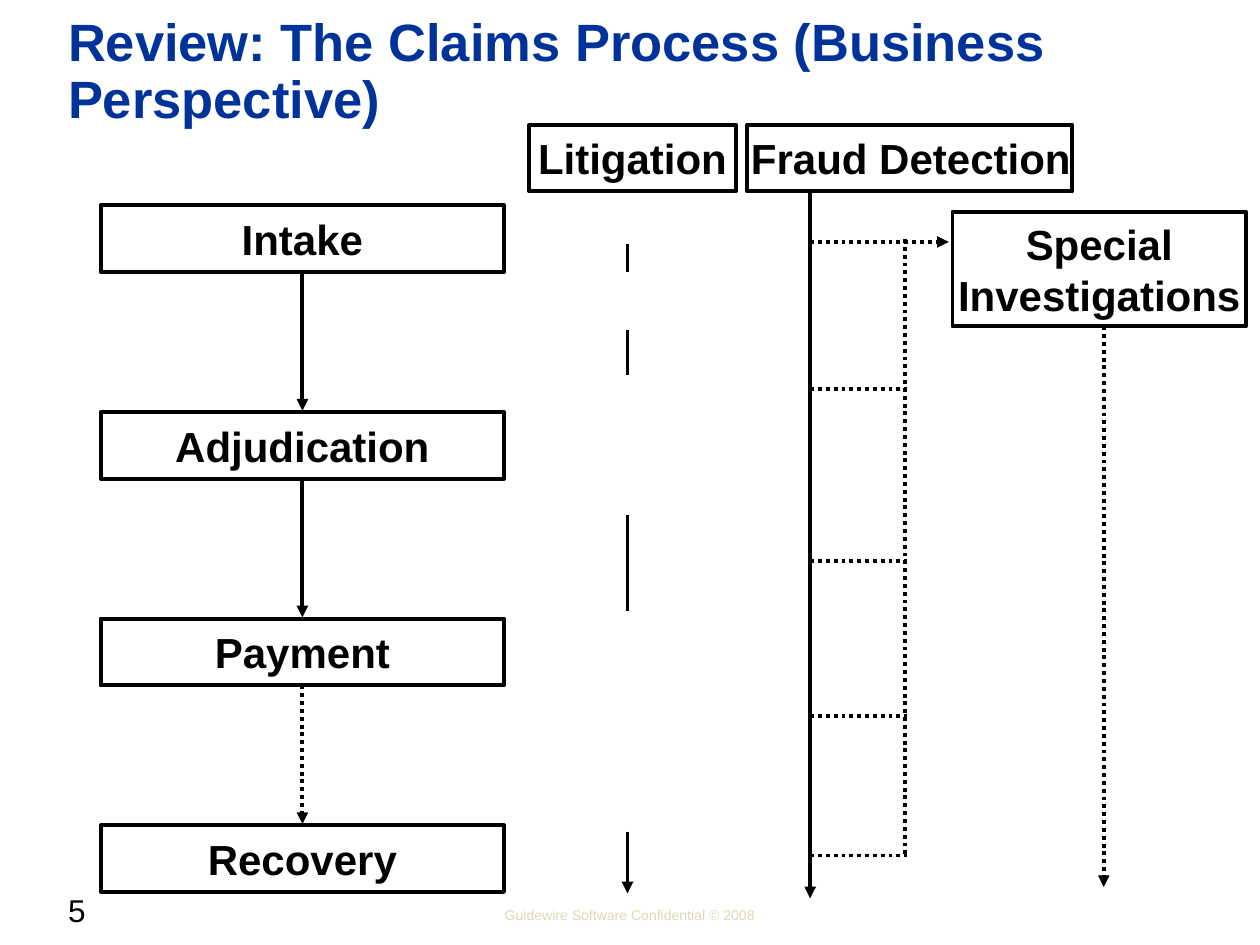
import pptx
import pptx.util
import pptx.dml.color
import pptx.enum.dml
import pptx.enum.shapes
import pptx.enum.text
import pptx.oxml.ns
from lxml import etree

BLACK = pptx.dml.color.RGBColor(0x00, 0x00, 0x00)
NAVY = pptx.dml.color.RGBColor(0x00, 0x33, 0x99)
SAND = pptx.dml.color.RGBColor(0xDA, 0xDA, 0xB3)
LEFT = pptx.enum.text.PP_ALIGN.LEFT
CENTER = pptx.enum.text.PP_ALIGN.CENTER
TOP = pptx.enum.text.MSO_ANCHOR.TOP
MIDDLE = pptx.enum.text.MSO_ANCHOR.MIDDLE
DOTTED = pptx.enum.dml.MSO_LINE.ROUND_DOT

prs = pptx.Presentation()
prs.slide_width = pptx.util.Inches(10)
prs.slide_height = pptx.util.Inches(7.5)
COL = prs.slide_width / 100
ROW = prs.slide_height / 75
s = prs.slides.add_slide(prs.slide_layouts[6])


def write(sp, text, size, color, bold, align, anchor, spacing=None, inset=0):
    tf = sp.text_frame
    frame = dict(margin_left=int(inset * COL), margin_right=0, margin_top=0,
                 margin_bottom=0, word_wrap=True, vertical_anchor=anchor)
    for name, value in frame.items():
        setattr(tf, name, value)
    p = tf.paragraphs[0]
    p.alignment = align
    p.line_spacing = spacing
    r = p.add_run()
    r.text = text
    font = dict(name="Arial", size=pptx.util.Pt(size), bold=bold)
    for name, value in font.items():
        setattr(r.font, name, value)
    r.font.color.rgb = color


def connect(x1, y1, x2, y2, dash=None, arrow=False):
    ln = s.shapes.add_connector(
        pptx.enum.shapes.MSO_CONNECTOR.STRAIGHT,
        int(x1 * COL), int(y1 * ROW), int(x2 * COL), int(y2 * ROW))
    ln.line.color.rgb = BLACK
    ln.line.width = pptx.util.Pt(2.25)
    if dash:
        ln.line.dash_style = dash
    if arrow:
        etree.SubElement(ln.line._get_or_add_ln(),
                         pptx.oxml.ns.qn("a:tailEnd"), type="triangle")
    etree.SubElement(ln._element.spPr, pptx.oxml.ns.qn("a:effectLst"))


texts = [
    (35.5, 72, 29, 1.3, "Guidewire Software Confidential © 2008",
     8, SAND, False, CENTER, MIDDLE, None),
    (5.4, 71.2, 3.4, 2.2, "5",
     18, BLACK, False, LEFT, TOP, pptx.util.Pt(18)),
    (5.4, 1.3, 91, 8.1, "Review: The Claims Process (Business Perspective)",
     30, NAVY, True, LEFT, TOP, 0.9),
]
for x, y, w, h, *content in texts:
    sp = s.shapes.add_textbox(int(x * COL), int(y * ROW),
                              int(w * COL), int(h * ROW))
    write(sp, *content)

STEP_TOP, STEP_PITCH, STEP_H = 16.3, 16.4, 5.3
steps = ["Intake", "Adjudication", "Payment", "Recovery"]
boxes = [
    (42, 9.9, 16.4, 5.3, "Litigation", CENTER, 0),
    (59.3, 9.9, 25.8, 5.3, "Fraud Detection", LEFT, 0.3),
    (75.6, 16.8, 23.3, 9.1, "Special Investigations", CENTER, 0),
]
for i, step in enumerate(steps):
    boxes.append((8, STEP_TOP + i * STEP_PITCH, 32, STEP_H, step, CENTER, 0))

for x, y, w, h, label, align, inset in boxes:
    sp = s.shapes.add_shape(pptx.enum.shapes.MSO_SHAPE.RECTANGLE,
                            int(x * COL), int(y * ROW),
                            int(w * COL), int(h * ROW))
    sp.shadow.inherit = False
    sp.fill.background()
    sp.line.color.rgb = BLACK
    sp.line.width = pptx.util.Pt(2.25)
    write(sp, label, 24, BLACK, True, align, MIDDLE, inset=inset)

for i, dash in enumerate([None, None, DOTTED]):
    y = STEP_TOP + i * STEP_PITCH
    connect(24, y + STEP_H, 24, y + STEP_PITCH - 0.1, dash, True)

LITIGATION_X = 49.8
for y1, y2, arrow in [(19.4, 21.6, False), (26.2, 29.8, False),
                      (40.9, 48.5, False), (66, 70.9, True)]:
    connect(LITIGATION_X, y1, LITIGATION_X, y2, arrow=arrow)

FRAUD_X = 64.3
connect(FRAUD_X, 15.1, FRAUD_X, 71.3, arrow=True)
connect(FRAUD_X, 19.2, 75.3, 19.2, DOTTED, True)
for y in [30.9, 44.5, 56.8, 67.9]:
    connect(FRAUD_X, y, 72, y, DOTTED)
connect(71.8, 67.8, 71.8, 19, DOTTED)
connect(87.6, 25.9, 87.6, 70.4, DOTTED, True)

prs.save("out.pptx")
